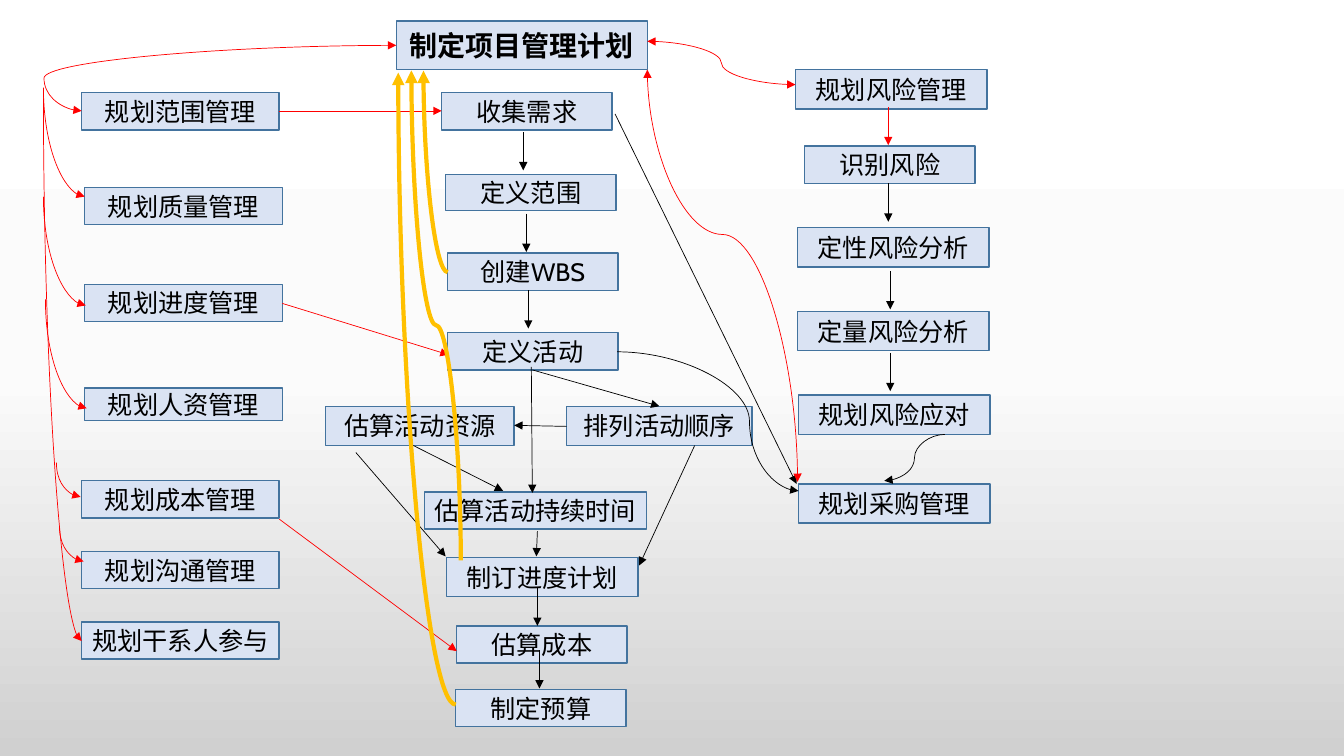
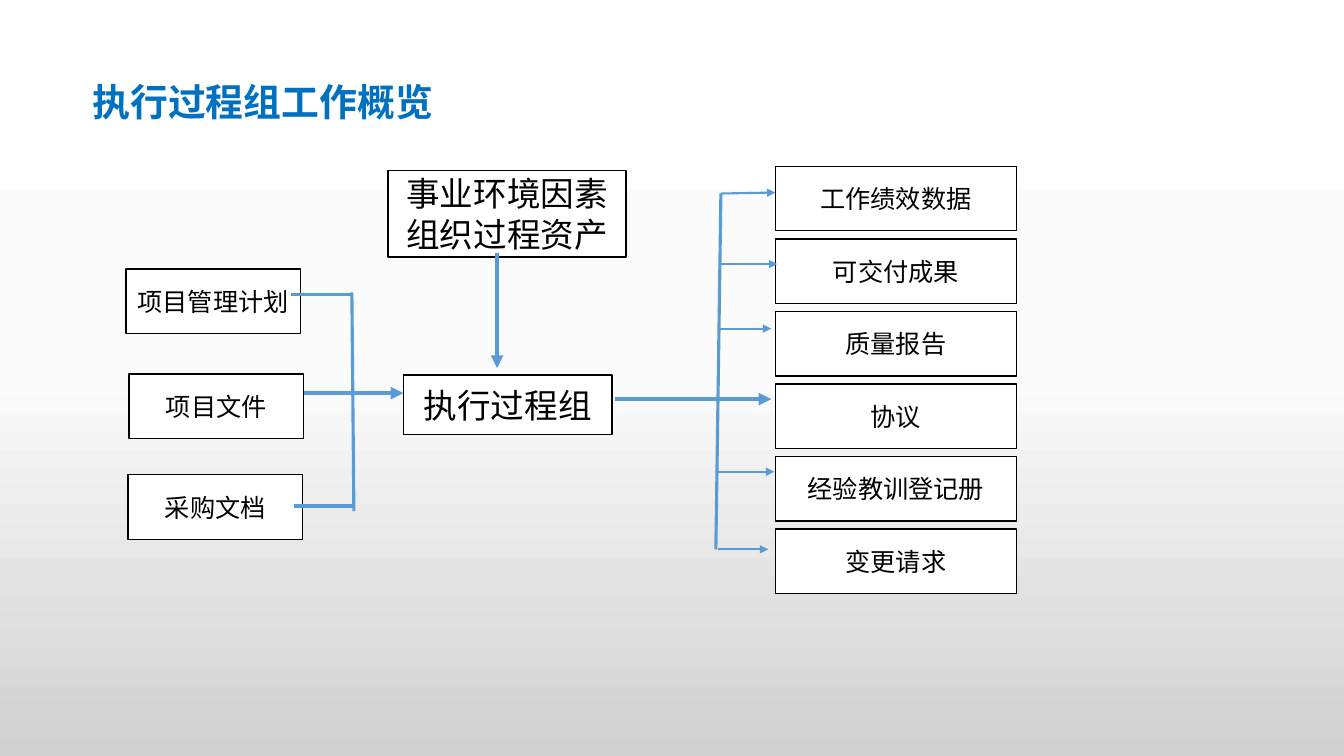
from copy import deepcopy
from dataclasses import dataclass

from pptx import Presentation
from pptx import util as u
from pptx.dml.color import RGBColor
from pptx.enum import shapes, text
from pptx.oxml import ns
from pptx.oxml.xmlchemy import OxmlElement
from pptx.shapes.connector import Connector
from pptx.slide import Slide

# Shared look
BODY_FONT, TITLE_FONT = "Cabin", "TeX Gyre Schola"
BLACK, WHITE, RED, GOLD = "000000", "FFFFFF", "FF0000", "FFC000"
PALE_BLUE, STEEL, SKY, TITLE_BLUE = "DAE3F3", "43739E", "5B9BD5", "0070C0"
BACKGROUND_STOPS = [(0, WHITE), (0.5, "FBFBFB"), (1, "D0D0D0")]


@dataclass
class Box:
    label: str
    left: float
    top: float
    width: float = 1.69
    height: float = 0.37
    size: int = 18
    bold: bool = False
    fill: str = PALE_BLUE
    outline: str = STEEL


@dataclass
class Line:
    start: tuple[float, float]
    end: tuple[float, float]
    color: str = BLACK
    width: float = 0.5
    arrow_at_start: bool = False
    arrow_at_end: bool = True


@dataclass
class Curve(Line):
    leaves: str = "right"       # right, left or vertical
    bend: float | None = None   # None makes a single quarter turn


def rgb(color: str) -> RGBColor:
    return RGBColor.from_string(color)


def set_background(presentation) -> None:
    master = presentation.slide_master
    fill = master.background.fill
    fill.gradient()
    fill.gradient_angle = 270
    stop_list = master.element.find(".//" + ns.qn("a:gsLst"))
    stop_list.append(deepcopy(stop_list[-1]))
    for stop, (position, color) in zip(fill.gradient_stops, BACKGROUND_STOPS):
        stop.position = position
        stop.color.rgb = rgb(color)


def format_text(frame, font_name: str, size: int, color: str, bold: bool) -> None:
    frame.word_wrap = True
    frame.vertical_anchor = text.MSO_ANCHOR.MIDDLE
    for paragraph in frame.paragraphs:
        for run in paragraph.runs:
            run.font.name = font_name
            run.font.size = u.Pt(size)
            run.font.bold = bold
            run.font.color.rgb = rgb(color)


def draw_title(slide: Slide, title: str) -> None:
    shape = slide.shapes.add_textbox(
        u.Inches(0.82), u.Inches(0.65), u.Inches(9), u.Inches(0.77))
    shape.text_frame.text = title
    shape.text_frame.paragraphs[0].line_spacing = 0.9
    format_text(shape.text_frame, TITLE_FONT, 27, TITLE_BLUE, True)


def draw_box(slide: Slide, box: Box) -> None:
    shape = slide.shapes.add_shape(
        shapes.MSO_SHAPE.RECTANGLE, u.Inches(box.left), u.Inches(box.top),
        u.Inches(box.width), u.Inches(box.height))
    shape.shadow.inherit = False
    shape.fill.solid()
    shape.fill.fore_color.rgb = rgb(box.fill)
    shape.line.color.rgb = rgb(box.outline)
    shape.line.width = u.Pt(1)
    frame = shape.text_frame
    frame.text = box.label
    frame.margin_left = frame.margin_right = u.Inches(0.05)
    frame.margin_top = frame.margin_bottom = 0
    for paragraph in frame.paragraphs:
        paragraph.alignment = text.PP_ALIGN.CENTER
    format_text(frame, BODY_FONT, box.size, BLACK, box.bold)


def shape_curve(connector: Connector, curve: Curve) -> None:
    """Turn and bend a connector so that it leaves in the wanted direction."""
    (x1, y1), (x2, y2) = curve.start, curve.end
    properties = connector.element.spPr
    xfrm = properties.find(ns.qn("a:xfrm"))
    rightward, downward = x2 > x1, y2 > y1
    if curve.leaves == "vertical":
        width, height = abs(y2 - y1), abs(x2 - x1)
        connector.left = u.Inches((x1 + x2 - width) / 2)
        connector.top = u.Inches((y1 + y2 - height) / 2)
        connector.width, connector.height = u.Inches(width), u.Inches(height)
        turn, flip_h, flip_v = 270, downward, not rightward
    elif curve.leaves == "left":
        turn, flip_h, flip_v = 180, rightward, downward
    else:
        turn, flip_h, flip_v = 0, not rightward, not downward
    xfrm.set("rot", str(turn * 60000))
    xfrm.set("flipH", str(int(flip_h)))
    xfrm.set("flipV", str(int(flip_v)))
    geometry = properties.find(ns.qn("a:prstGeom"))
    if curve.bend is None:
        geometry.set("prst", "curvedConnector2")
    else:
        guide = OxmlElement("a:gd")
        guide.set("name", "adj1")
        guide.set("fmla", f"val {round(curve.bend * 100000)}")
        geometry.find(ns.qn("a:avLst")).append(guide)


def draw_line(slide: Slide, line: Line) -> None:
    curved = isinstance(line, Curve)
    kind = shapes.MSO_CONNECTOR.CURVE if curved else shapes.MSO_CONNECTOR.STRAIGHT
    connector = slide.shapes.add_connector(
        kind, *(u.Inches(value) for value in (*line.start, *line.end)))
    if curved:
        shape_curve(connector, line)
    connector.line.color.rgb = rgb(line.color)
    connector.line.width = u.Pt(line.width)
    properties = connector.element.spPr
    outline = properties.find(ns.qn("a:ln"))
    ends = [("a:headEnd", line.arrow_at_start), ("a:tailEnd", line.arrow_at_end)]
    for tag, wanted in ends:
        if wanted:
            arrowhead = OxmlElement(tag)
            arrowhead.set("type", "triangle")
            outline.append(arrowhead)
    properties.append(OxmlElement("a:effectLst"))


def draw_all(slide: Slide, boxes: list[Box], lines: list[Line]) -> None:
    for box in boxes:
        draw_box(slide, box)
    for line in lines:
        draw_line(slide, line)


def build_planning_slide(slide: Slide) -> None:
    # Management plans on the left
    plans = [
        Box("规划范围管理", 0.81, 0.92, 1.96),
        Box("规划质量管理", 0.84, 1.86, 1.96),
        Box("规划进度管理", 0.84, 2.82, 1.96),
        Box("规划人资管理", 0.84, 3.85, 1.96, 0.32),
        Box("规划成本管理", 0.81, 4.77, 1.96),
        Box("规划沟通管理", 0.81, 5.47, 1.96),
        Box("规划干系人参与", 0.81, 6.17, 1.96),
    ]
    # Scope, schedule and cost processes in the middle
    processes = [
        Box("制定项目管理计划", 3.93, 0.21, 2.49, 0.48, size=20, bold=True),
        Box("收集需求", 4.38, 0.92),
        Box("定义范围", 4.42, 1.73, height=0.36),
        Box("创建WBS", 4.44, 2.51),
        Box("定义活动", 4.44, 3.3),
        Box("估算活动资源", 3.23, 4.03, 1.87, 0.39),
        Box("排列活动顺序", 5.62, 4.03, 1.84, 0.39),
        Box("估算活动持续时间", 4.21, 4.88, 2.2),
        Box("制订进度计划", 4.43, 5.53, 1.9, 0.39),
        Box("估算成本", 4.53, 6.21),
        Box("制定预算", 4.52, 6.84),
    ]
    # Risk and procurement on the right
    risks = [
        Box("规划风险管理", 7.89, 0.69, 1.9, 0.39),
        Box("识别风险", 7.98, 1.45),
        Box("定性风险分析", 7.91, 2.26, 1.9, 0.39),
        Box("定量风险分析", 7.91, 3.09, 1.9, 0.39),
        Box("规划风险应对", 7.92, 3.92, 1.9, 0.39),
        Box("规划采购管理", 7.92, 4.8, 1.9, 0.39),
    ]
    # Short steps down a column
    step_length = 0.38
    step_starts = [
        (5.19, 1.31), (5.22, 2.12), (5.24, 2.88), (5.33, 5.83), (5.35, 6.45),
        (8.81, 1.82), (8.83, 2.69), (8.83, 3.5),
    ]
    steps = [Line((x, y), (x, y + step_length)) for x, y in step_starts]
    steps.append(Line((8.81, 1.06), (8.81, 1.06 + step_length), RED))
    # Links between processes
    links = [
        Line((5.33, 5.27), (5.32, 5.52)),
        Line((5.28, 3.67), (6.54, 4.03)),
        Line((4.1, 4.42), (4.99, 4.87)),
        Line((6.89, 4.42), (6.34, 5.61)),
        Line((5.62, 4.23), (5.1, 4.22)),
        Line((6.1, 1.13), (7.9, 4.8)),
        Line((5.27, 3.64), (5.28, 4.89)),
        Line((3.53, 4.49), (4.42, 5.52)),
        Line((2.77, 1.1), (4.38, 1.1), RED),
        Line((2.8, 3.01), (4.45, 3.52), RED),
        Line((2.77, 5.15), (4.53, 6.46), RED),
        Curve((6.12, 3.49), (7.92, 4.87), bend=0.73),
        Curve((9.37, 4.31), (8.77, 4.77), leaves="left", bend=0.5),
    ]
    # Red branches from the trunk to each management plan
    branch_ends = [
        ((0.43, 0.89), (0.81, 6.36)), ((0.43, 0.87), (0.84, 1.95)),
        ((0.43, 1.95), (0.85, 3.03)), ((0.45, 2.97), (0.86, 4.05)),
        ((0.56, 4.59), (0.8, 4.93)), ((0.59, 5.22), (0.83, 5.57)),
    ]
    branches = [Curve(start, end, RED, leaves="vertical")
                for start, end in branch_ends]
    # Two-way links with the project plan
    exchanges = [
        Curve(start, end, RED, arrow_at_start=True, leaves=leaves, bend=bend)
        for start, end, leaves, bend in [
            ((0.81, 1.1), (3.93, 0.45), "left", -0.12),
            ((6.42, 0.41), (7.89, 0.84), "right", 0.5),
            ((6.42, 0.69), (7.91, 4.78), "vertical", 0.4),
        ]
    ]
    # Baselines fed back into the project plan
    baselines = [
        Curve((4.44, 2.7), (4.2, 0.7), GOLD, 3, leaves="left"),
        Curve((4.57, 5.56), (4.08, 0.7), GOLD, 3, leaves="vertical", bend=0.48),
        Curve((4.52, 6.99), (3.95, 0.72), GOLD, 3, leaves="left"),
    ]
    draw_all(slide, plans + processes + risks,
             branches + steps + links + exchanges + baselines)


def build_execution_slide(slide: Slide) -> None:
    draw_title(slide, "执行过程组工作概览")
    plain = {"fill": WHITE, "outline": BLACK}

    # Inputs, the process group and its outputs
    inputs = [
        Box(label, left, top, 1.73, 0.64, **plain)
        for label, left, top in [("项目管理计划", 1.25, 2.67),
                                 ("项目文件", 1.28, 3.71),
                                 ("采购文档", 1.27, 4.71)]
    ]
    core = [
        Box("事业环境因素\n组织过程资产", 3.85, 1.69, 2.36, 0.86, size=24, **plain),
        Box("执行过程组", 4, 3.72, 2.07, 0.59, size=24, **plain),
    ]
    output_labels = ["工作绩效数据", "可交付成果", "质量报告",
                     "协议", "经验教训登记册", "变更请求"]
    outputs = [Box(label, 7.69, 1.65 + 0.72 * row, 2.39, 0.64, **plain)
               for row, label in enumerate(output_labels)]

    # Main flow; the input arrow starts underneath its box
    draw_line(slide, Line((2.41, 3.9), (4, 3.9), SKY, 3))
    main_flow = [
        Line((6.1, 3.96), (7.65, 3.96), SKY, 3),
        Line((4.93, 2.51), (4.93, 3.65), SKY, 3),
    ]
    # Brackets that gather inputs and spread outputs
    brackets = [
        Line(start, end, SKY, 2.25, arrow_at_end=False)
        for start, end in [((3.49, 2.9), (3.51, 5.07)),
                           ((2.89, 2.92), (3.49, 2.92)),
                           ((2.92, 5.02), (3.51, 5.02)),
                           ((7.15, 1.92), (7.1, 5.45))]
    ]
    output_arrows = [
        Line(start, end, SKY, 1.5)
        for start, end in [((7.15, 1.92), (7.69, 1.91)),
                           ((7.15, 2.62), (7.71, 2.62)),
                           ((7.12, 3.26), (7.65, 3.26)),
                           ((7.12, 4.68), (7.68, 4.68)),
                           ((7.12, 5.45), (7.62, 5.45))]
    ]
    draw_all(slide, inputs + core + outputs, main_flow + brackets + output_arrows)


def main() -> None:
    presentation = Presentation()
    presentation.slide_width = u.Inches(13.33)
    presentation.slide_height = u.Inches(7.5)
    set_background(presentation)
    blank_layout = presentation.slide_layouts[6]
    for build in (build_planning_slide, build_execution_slide):
        build(presentation.slides.add_slide(blank_layout))
    presentation.save("out.pptx")


if __name__ == "__main__":
    main()
